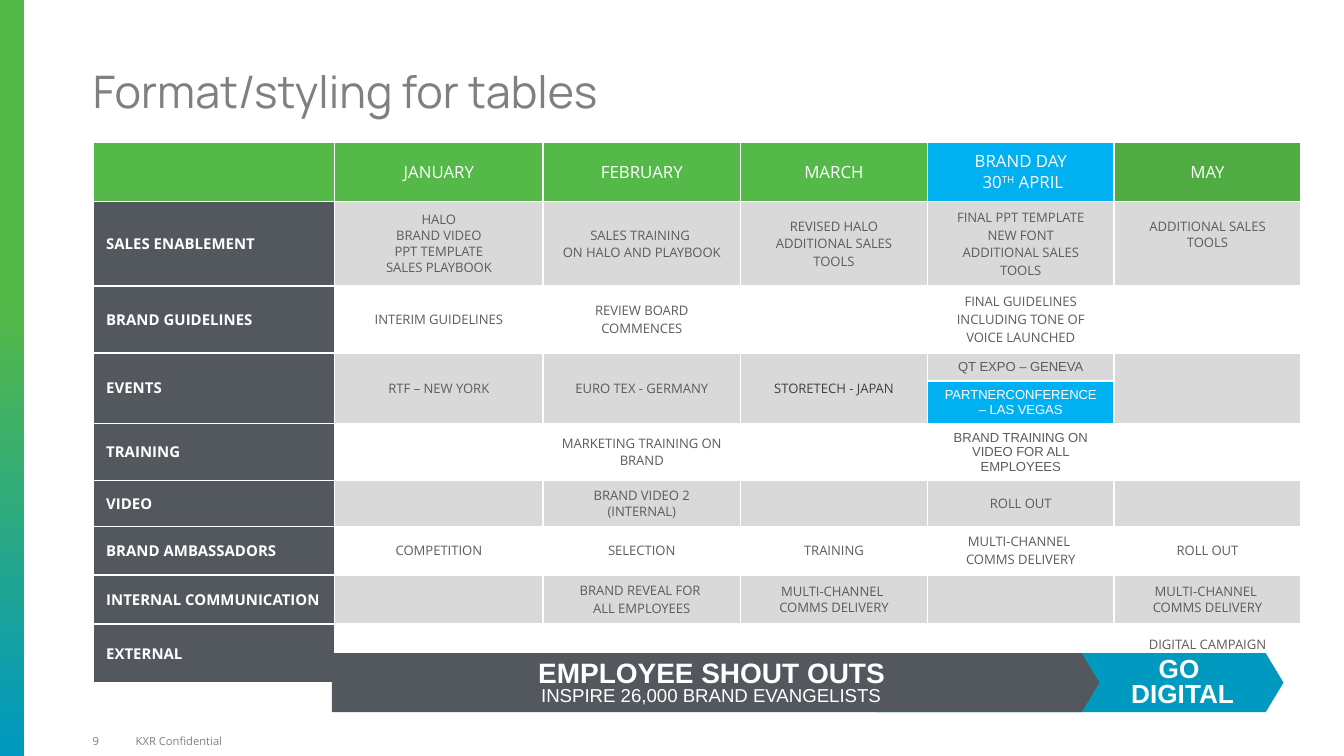
from dataclasses import dataclass

from lxml import etree
from pptx import Presentation
from pptx.dml.color import RGBColor
from pptx.enum.shapes import MSO_SHAPE
from pptx.enum.text import MSO_ANCHOR, PP_ALIGN
from pptx.oxml.ns import qn
from pptx.util import Inches, Pt

RECTANGLE, PENTAGON = MSO_SHAPE.RECTANGLE, MSO_SHAPE.PENTAGON
TOP, MIDDLE = MSO_ANCHOR.TOP, MSO_ANCHOR.MIDDLE
LEFT, CENTER = PP_ALIGN.LEFT, PP_ALIGN.CENTER


@dataclass(frozen=True)
class Theme:
    green: str = "54B948"
    dark_green: str = "4FAC43"
    teal: str = "0099BF"
    blue: str = "00B0F0"
    slate: str = "53585F"
    band: str = "D9D9D9"
    white: str = "FFFFFF"
    muted: str = "808080"
    body: str = "5C5C5C"
    dark: str = "404040"
    heading_font: str = "Manrope"
    body_font: str = "Open Sans"
    banner_font: str = "Arial"
    title_size: float = 24
    header_size: float = 9
    label_size: float = 8
    cell_size: float = 7
    footer_size: float = 6


THEME = Theme()
SLIDE_WIDTH = 10
SLIDE_HEIGHT = SLIDE_WIDTH * 9 / 16
COLUMN_WIDTHS = [1.8, 1.55, 1.47, 1.39, 1.39, 1.39]
HEADER_HEIGHT = 0.44
HEADERS = ["", "JANUARY", "FEBRUARY", "MARCH", "BRAND DAY\v 30^TH^ APRIL", "MAY"]
HEADER_FILLS = [THEME.green] * 4 + [THEME.blue, THEME.dark_green]

# Row height, band fill, label and one text per month
ROWS = [
    (0.63, THEME.band, ["SALES ENABLEMENT", "HALO\vBRAND VIDEO\nPPT TEMPLATE\vSALES PLAYBOOK",
                        "SALES TRAINING \vON HALO AND PLAYBOOK", "REVISED HALO\vADDITIONAL SALES TOOLS",
                        "FINAL PPT TEMPLATE\nNEW FONT\nADDITIONAL SALES TOOLS", "ADDITIONAL SALES TOOLS"]),
    (0.49, THEME.white, ["BRAND GUIDELINES", "INTERIM GUIDELINES", "REVIEW BOARD COMMENCES", "",
                         "FINAL GUIDELINES INCLUDING TONE OF VOICE LAUNCHED", ""]),
    (0.21, THEME.band, ["EVENTS", "RTF – NEW YORK", "EURO TEX - GERMANY", "STORETECH - JAPAN",
                        "QT EXPO – GENEVA", ""]),
    (0.31, THEME.band, ["", "", "", "", "PARTNERCONFERENCE – LAS VEGAS", ""]),
    (0.42, THEME.white, ["TRAINING", "", "MARKETING TRAINING ON BRAND", "",
                         "BRAND TRAINING ON VIDEO FOR ALL EMPLOYEES", ""]),
    (0.34, THEME.band, ["VIDEO", "", "BRAND VIDEO 2\n(INTERNAL)", "", "ROLL OUT", ""]),
    (0.36, THEME.white, ["BRAND AMBASSADORS", "COMPETITION", "SELECTION", "TRAINING",
                         "MULTI-CHANNEL \vCOMMS DELIVERY", "ROLL OUT"]),
    (0.36, THEME.band, ["INTERNAL COMMUNICATION", "", "BRAND REVEAL FOR \vALL EMPLOYEES",
                        "MULTI-CHANNEL \nCOMMS DELIVERY", "", "MULTI-CHANNEL \vCOMMS DELIVERY"]),
    (0.44, THEME.white, ["EXTERNAL", "", "", "", "", "DIGITAL CAMPAIGN LAUNCH"]),
]
EVENTS_ROW = 3
PARTNER_CELL = (4, 4)
TIGHT_CELLS = [(1, 1), (1, 5), (6, 2), (7, 5), (8, 3), (8, 5)]
CELL_FORMATS = {
    **{position: {"spacing": 0.9} for position in TIGHT_CELLS},
    (3, 3): {"color": THEME.dark},
    (3, 4): {"font": THEME.banner_font},
    PARTNER_CELL: {"font": THEME.banner_font, "color": THEME.white},
    (5, 4): {"font": THEME.banner_font},
}


def set_fill(target, color):
    target.fill.solid()
    target.fill.fore_color.rgb = RGBColor.from_string(color)


def write_text(frame, text, size, color, font=THEME.body_font, bold=False, align=LEFT, spacing=1.0):
    """New lines start paragraphs, vertical tabs break lines, carets enclose superscript."""
    for index, paragraph_text in enumerate(text.split("\n")):
        paragraph = frame.paragraphs[0] if index == 0 else frame.add_paragraph()
        paragraph.alignment, paragraph.line_spacing = align, spacing
        for line_index, line in enumerate(paragraph_text.split("\v")):
            if line_index:
                paragraph.add_line_break()
                etree.SubElement(paragraph._p[-1], qn("a:rPr"), sz=str(int(size * 100)))
            for part, content in enumerate(line.split("^")):
                run = paragraph.add_run()
                run.text = content
                for name, value in {"size": Pt(size), "name": font, "bold": bold}.items():
                    setattr(run.font, name, value)
                run.font.color.rgb = RGBColor.from_string(color)
                if part % 2:
                    run._r.get_or_add_rPr().set("baseline", "30000")


def add_text(shapes, box, text, margins=(0.1, 0.05, 0.1, 0.05), anchor=TOP, wrap=True, **style):
    frame = shapes.add_textbox(*map(Inches, box)).text_frame
    frame.word_wrap, frame.vertical_anchor = wrap, anchor
    for side, margin in zip(("left", "top", "right", "bottom"), margins):
        setattr(frame, f"margin_{side}", Inches(margin))
    write_text(frame, text, **style)


def add_plain_shape(shapes, kind, box, color):
    shape = shapes.add_shape(kind, *map(Inches, box))
    shape.shadow.inherit = False
    shape.line.fill.background()
    set_fill(shape, color)
    return shape


def add_side_bar(slide, box):
    bar = add_plain_shape(slide.shapes, RECTANGLE, box, THEME.green)
    bar.fill.gradient()
    bar.fill.gradient_angle = 270
    for stop, (position, color) in zip(bar.fill.gradient_stops, ((0.41, THEME.green), (0.99, THEME.teal))):
        stop.position = position
        stop.color.rgb = RGBColor.from_string(color)


def add_cell_borders(cell):
    properties = cell._tc.get_or_add_tcPr()
    for index, side in enumerate(("lnL", "lnR", "lnT", "lnB")):
        line = etree.Element(qn(f"a:{side}"), w=str(Pt(1)))
        fill = etree.SubElement(line, qn("a:solidFill"))
        etree.SubElement(fill, qn("a:srgbClr"), val=THEME.white)
        properties.insert(index, line)


def fill_cell(cell, text, color, style):
    cell.vertical_anchor = MIDDLE
    set_fill(cell, color)
    add_cell_borders(cell)
    if text:
        write_text(cell.text_frame, text, **style)
    else:
        # An empty cell keeps a small type size so that its row stays low
        paragraph = cell.text_frame.paragraphs[0]._p
        etree.SubElement(paragraph, qn("a:endParaRPr"), sz=str(int(THEME.cell_size * 100)))


def add_plan_table(slide, left, top):
    heights = [HEADER_HEIGHT] + [row[0] for row in ROWS]
    size = (sum(COLUMN_WIDTHS), sum(heights))
    table = slide.shapes.add_table(len(heights), len(COLUMN_WIDTHS), *map(Inches, (left, top, *size))).table
    table.first_row = table.horz_banding = False
    for column, width in zip(table.columns, COLUMN_WIDTHS):
        column.width = Inches(width)
    for row, height in zip(table.rows, heights):
        row.height = Inches(height)

    # Month headers
    header_style = {"size": THEME.header_size, "color": THEME.white, "align": CENTER, "spacing": 0.9}
    for index, (text, color) in enumerate(zip(HEADERS, HEADER_FILLS)):
        fill_cell(table.cell(0, index), text, color, header_style)

    # Labels and activities
    label_style = {"size": THEME.label_size, "color": THEME.white, "bold": True, "spacing": 0.9}
    body_style = {"size": THEME.cell_size, "color": THEME.body, "align": CENTER}
    for row, (_, band, texts) in enumerate(ROWS, start=1):
        for column, text in enumerate(texts):
            color = THEME.slate if column == 0 else THEME.blue if (row, column) == PARTNER_CELL else band
            style = label_style if column == 0 else {**body_style, **CELL_FORMATS.get((row, column), {})}
            fill_cell(table.cell(row, column), text, color, style)
    table.cell(1, 5).margin_bottom = Inches(0.18)

    # Events span two rows, except on brand day
    for column in (0, 1, 2, 3, 5):
        table.cell(EVENTS_ROW, column).merge(table.cell(EVENTS_ROW + 1, column))


def add_banner(slide, box, color, captions):
    """Arrow with captions, each placed relative to the arrow's corner."""
    shapes = slide.shapes.add_group_shape().shapes
    add_plain_shape(shapes, PENTAGON, box, color).adjustments[0] = 0.3
    for (x, y, width, height), text, style in captions:
        add_text(shapes, (box[0] + x, box[1] + y, width, height), text,
                 color=THEME.white, font=THEME.banner_font, align=CENTER, **style)


def add_footer(slide, left, top):
    style = {"size": THEME.footer_size, "color": THEME.muted}
    add_text(slide.shapes, (left, top, 0.16, 0.21), "9", (0, 0.06, 0.06, 0.06), wrap=False, **style)
    add_text(slide.shapes, (left + 0.32, top, 3.38, 0.21), "KXR Confidential", (0, 0.05, 0.1, 0.05), MIDDLE, **style)


def main():
    presentation = Presentation()
    presentation.slide_width, presentation.slide_height = Inches(SLIDE_WIDTH), Inches(SLIDE_HEIGHT)
    slide = presentation.slides.add_slide(presentation.slide_layouts[6])

    add_side_bar(slide, (0, 0, 0.18, SLIDE_HEIGHT))
    add_plan_table(slide, 0.69, 1.06)
    add_text(slide.shapes, (0.69, 0.16, 8.99, 1.09), "Format/styling for tables", (0, 0.05, 0.1, 0.05), MIDDLE,
             size=THEME.title_size, color=THEME.muted, font=THEME.heading_font, spacing=Pt(24))
    add_footer(slide, 0.69, 5.41)

    # Closing arrows
    add_banner(slide, (6.52, 4.86, 3.03, 0.44), THEME.teal, [
        ((1.66, -0.01, 1.24, 0.48), "GO \vDIGITAL", {"size": 14, "bold": True, "spacing": 0.8}),
    ])
    add_banner(slide, (2.47, 4.86, 5.71, 0.44), THEME.slate, [
        ((0.23, 0, 5.19, 0.33), "EMPLOYEE SHOUT OUTS", {"size": 15, "bold": True, "spacing": 0.9}),
        ((0.07, 0.2, 5.5, 0.25), "INSPIRE 26,000 BRAND EVANGELISTS", {"size": 10, "spacing": 0.9}),
    ])
    presentation.save("out.pptx")


if __name__ == "__main__":
    main()
